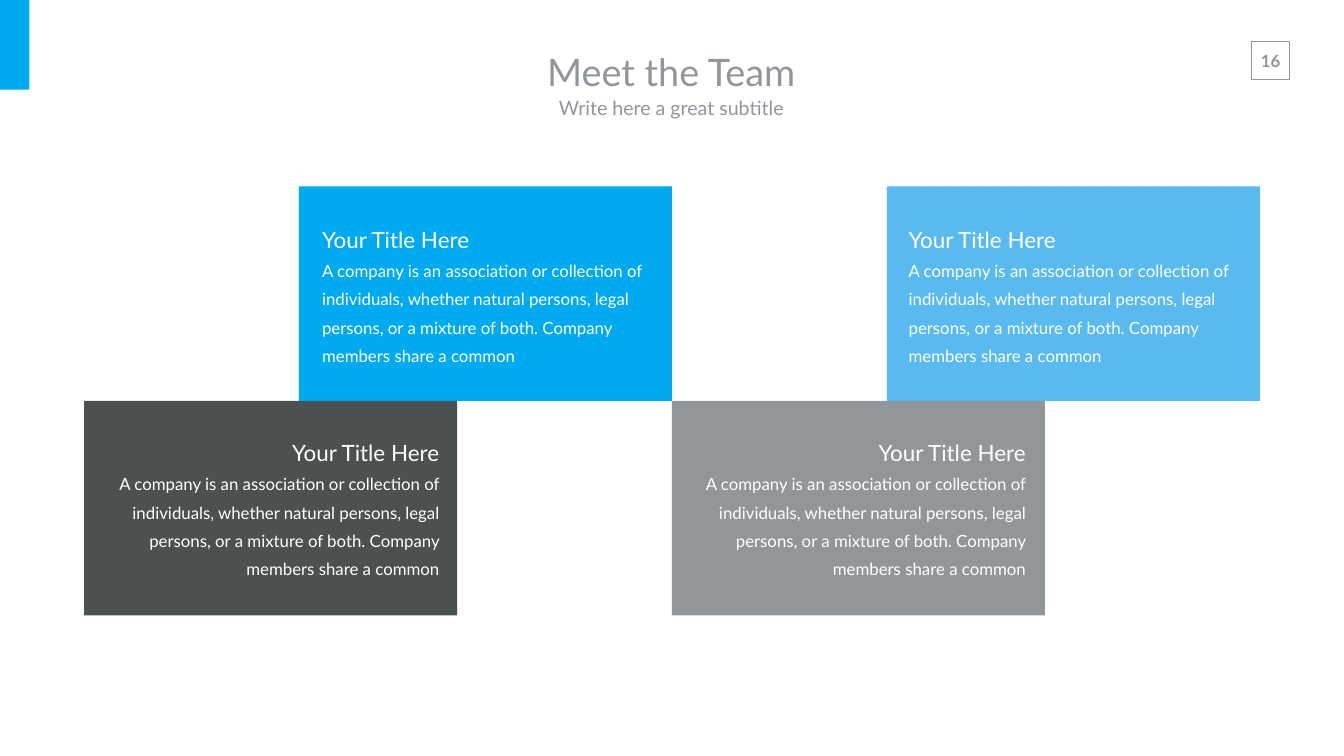
"""Build the "Meet the Team" slide with four staggered text cards."""
from pptx import Presentation
from pptx.dml.color import RGBColor
from pptx.enum.shapes import MSO_SHAPE
from pptx.enum.text import MSO_ANCHOR, PP_ALIGN
from pptx.util import Pt

RECTANGLE = MSO_SHAPE.RECTANGLE
LEFT, CENTER, RIGHT = PP_ALIGN.LEFT, PP_ALIGN.CENTER, PP_ALIGN.RIGHT
TOP, MIDDLE = MSO_ANCHOR.TOP, MSO_ANCHOR.MIDDLE

FONT = "Lato"
WHITE, GRAY, BLUE = "FFFFFF", "91969B", "00AAF0"
TITLE = "Meet the Team"
SUBTITLE = "Write here a great subtitle"
PAGE_NUMBER = "16"
CARD_TITLE = "Your Title Here"
CARD_BODY = (
    "A company is an association or collection of individuals, whether natural "
    "persons, legal persons, or a mixture of both. Company members share a common"
)
ROWS = [
    {"left": 427, "top": 266.4, "text_left": 452.9, "text_top": 303.8,
     "align": LEFT, "fills": [BLUE, "59BAF0"]},
    {"left": 120.2, "top": 572.8, "text_left": 144.2, "text_top": 608.4,
     "align": RIGHT, "fills": ["4B5050", GRAY]},
]
CARD_WIDTH, CARD_HEIGHT, CARD_STEP = 532.8, 306.2, 839.5
COPY_WIDTH, COPY_HEIGHT, COPY_STEP = 490.3, 222.5, 837.7


def color(value):
    return RGBColor.from_string(value)


def add_rectangle(slide, box, fill=None, line=None):
    rectangle = slide.shapes.add_shape(RECTANGLE, *map(Pt, box))
    rectangle.shadow.inherit = False
    if fill:
        rectangle.fill.solid()
        rectangle.fill.fore_color.rgb = color(fill)
    else:
        rectangle.fill.background()
    if line:
        rectangle.line.color.rgb = color(line)
        rectangle.line.width = Pt(1)
    else:
        rectangle.line.fill.background()


def add_text(slide, box, lines, ink, align, insets=(7.2, 3.6), anchor=TOP,
             spacing=None, bold=None, wrap=True):
    frame = slide.shapes.add_textbox(*map(Pt, box)).text_frame
    frame.word_wrap = wrap
    frame.vertical_anchor = anchor
    frame.margin_left = frame.margin_right = Pt(insets[0])
    frame.margin_top = frame.margin_bottom = Pt(insets[1])
    for index, (text, size) in enumerate(lines):
        paragraph = frame.add_paragraph() if index else frame.paragraphs[0]
        paragraph.text = text
        paragraph.alignment = align
        paragraph.line_spacing = spacing
        paragraph.font.name = FONT
        paragraph.font.size = Pt(size)
        paragraph.font.bold = bold
        paragraph.font.color.rgb = color(ink)


def main():
    deck = Presentation()
    deck.slide_width, deck.slide_height = Pt(1919.52), Pt(1080)
    slide = deck.slides.add_slide(deck.slide_layouts[6])

    add_text(slide, (1785.6, 64.8, 58.3, 43.9), [(PAGE_NUMBER, 24)], GRAY, CENTER,
             insets=(14.4, 7.2), bold=True, wrap=False)
    add_rectangle(slide, (1787.8, 59, 54, 54), line=GRAY)
    add_rectangle(slide, (0, 0, 41.8, 128.2), fill=BLUE)
    for text, size, top, height in [(TITLE, 54, 59.8, 85), (SUBTITLE, 28, 126.7, 53.3)]:
        add_text(slide, (586.8, top, 743.8, height), [(text, size)], GRAY, CENTER,
                 insets=(19.4, 9.4), anchor=MIDDLE)

    for row in ROWS:
        for column, fill in enumerate(row["fills"]):
            card_left = row["left"] + column * CARD_STEP
            copy_left = row["text_left"] + column * COPY_STEP
            add_rectangle(slide, (card_left, row["top"], CARD_WIDTH, CARD_HEIGHT), fill)
            add_text(slide, (copy_left, row["text_top"], COPY_WIDTH, COPY_HEIGHT),
                     [(CARD_TITLE, 32), (CARD_BODY, 24)], WHITE, row["align"], spacing=1.4)

    deck.save("out.pptx")


if __name__ == "__main__":
    main()
